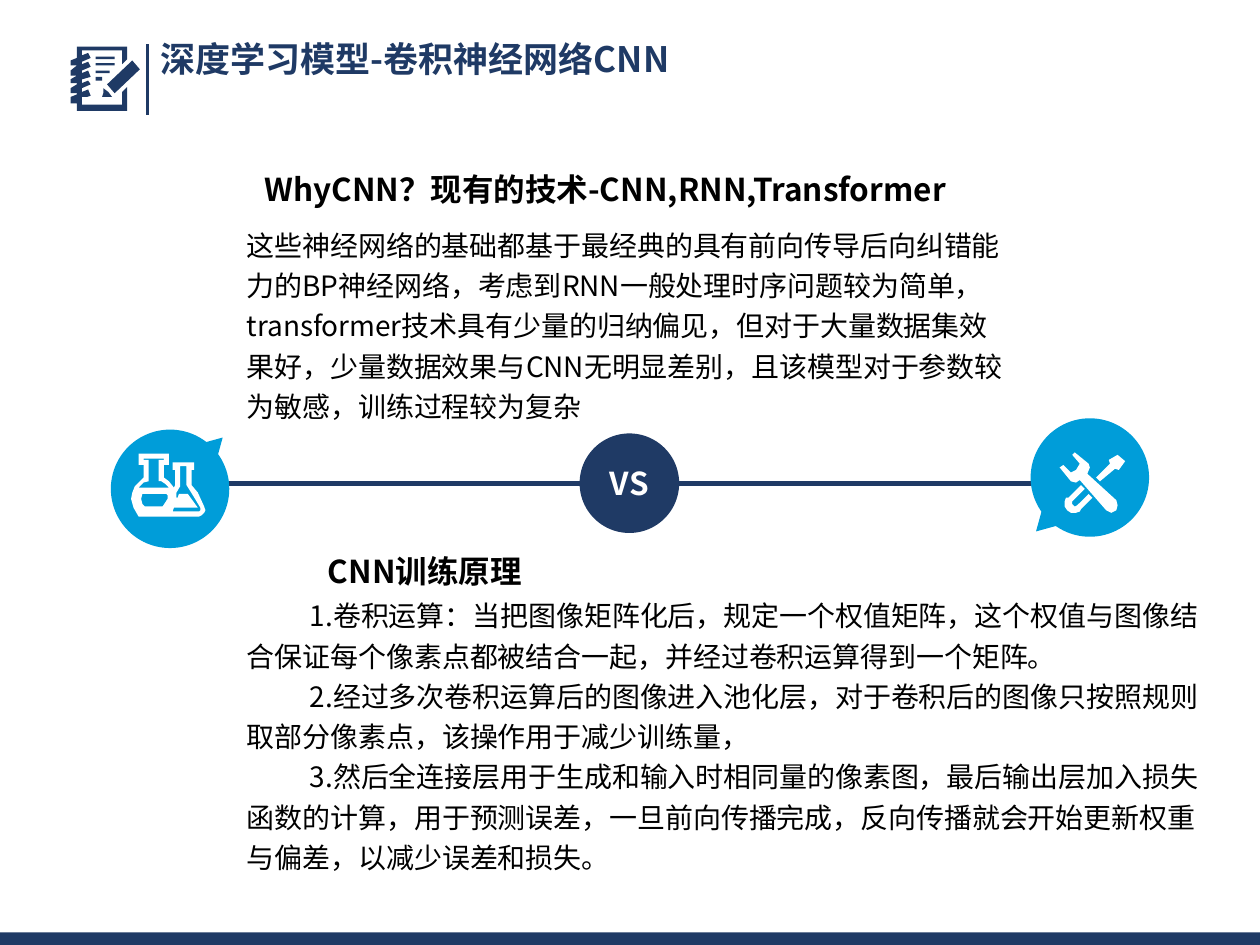
from pptx import Presentation
from pptx.dml.color import RGBColor as RGB
from pptx.enum.shapes import MSO_CONNECTOR as CONN, MSO_SHAPE as SHAPE
from pptx.enum.text import MSO_ANCHOR as ANCHOR, MSO_AUTO_SIZE as AUTO, PP_ALIGN as ALIGN
from pptx.oxml.ns import qn
from pptx.util import Inches, Pt
from lxml.etree import SubElement

COLORS = {"navy": "1F3A65", "blue": "009DD9", "white": "FFFFFF", "black": "000000"}
FONT = "Noto Sans CJK SC"

INTRO = ("这些神经网络的基础都基于最经典的具有前向传导后向纠错能力的BP神经网络，考虑到RNN一般处理时序问题较为简单，"
         "transformer技术具有少量的归纳偏见，但对于大量数据集效果好，少量数据效果与CNN无明显差别，"
         "且该模型对于参数较为敏感，训练过程较为复杂")
STEPS = [
    "1.卷积运算：当把图像矩阵化后，规定一个权值矩阵，这个权值与图像结合保证每个像素点都被结合一起，并经过卷积运算得到一个矩阵。",
    "2.经过多次卷积运算后的图像进入池化层，对于卷积后的图像只按照规则取部分像素点，该操作用于减少训练量，",
    "3.然后全连接层用于生成和输入时相同量的像素图，最后输出层加入损失函数的计算，用于预测误差，"
    "一旦前向传播完成，反向传播就会开始更新权重与偏差，以减少误差和损失。",
]

FLASKS = [
    [(130, 379), (134, 382), (138, 387), (139, 385), (139, 373), (137, 373), (137, 367),
     (154, 367), (154, 373), (152, 373), (152, 385), (157, 391), (162, 402), (163, 405),
     (162, 407), (160, 409), (158, 410), (110, 410), (106, 403), (104, 396), (105, 391),
     (107, 386), (114, 379), (114, 369), (110, 369), (110, 360), (134, 360), (134, 369),
     (130, 369)],
    [(149, 392), (157, 403), (138, 403), (137, 406), (158, 406), (159, 405), (159, 403),
     (153, 393), (148, 385), (148, 370), (143, 370), (143, 386), (140, 391), (140, 395),
     (141, 395), (142, 392)],
    [(129, 402), (133, 396), (133, 393), (132, 392), (113, 392), (112, 396), (113, 400),
     (115, 402)],
    [(110, 387), (134, 387), (131, 384), (128, 382), (126, 382), (126, 365), (130, 365),
     (130, 364), (114, 364), (114, 365), (118, 365), (118, 382), (114, 383)],
]
TOOLS = [
    [(864, 392), (855, 401), (853, 402), (851, 400), (851, 398), (861, 388), (858, 385),
     (848, 395), (846, 395), (845, 398), (845, 402), (847, 405), (850, 407), (854, 407),
     (857, 406), (858, 404), (867, 395)],
    [(863, 376), (886, 397), (887, 401), (886, 405), (882, 407), (878, 405), (857, 381),
     (854, 383), (850, 382), (841, 371), (844, 369), (850, 375), (854, 373),
     (857, 368), (851, 361), (853, 359), (864, 368), (865, 371)],
    [(887, 361), (880, 365), (881, 368), (870, 379), (873, 382), (885, 372), (888, 373),
     (893, 366)],
]
NOTEBOOK = [
    [(101, 37), (101, 47), (97, 51), (97, 40), (65, 40), (65, 44), (70, 42), (72, 46),
     (65, 49), (65, 51), (70, 49), (72, 53), (65, 56), (65, 58), (70, 56), (72, 61),
     (65, 63), (65, 66), (70, 64), (72, 67), (65, 70), (65, 73), (70, 71), (72, 76),
     (69, 77), (65, 77), (65, 83), (97, 83), (97, 73), (101, 69), (101, 88), (61, 88),
     (61, 82), (56, 82), (56, 77), (61, 75), (61, 74), (56, 74), (56, 70), (61, 67),
     (61, 66), (56, 66), (56, 63), (61, 60), (56, 60), (56, 56), (61, 52), (56, 52),
     (56, 48), (61, 46), (61, 37)],
    [(81, 77), (89, 77), (86, 73), (82, 70), (82, 74)],
    [(105, 48), (85, 67), (91, 74), (111, 55)],
] + [[(76, y), (76, y + h), (right, y + h), (right, y)]
     for right, y, h in [(81, 61, 3), (87, 56, 2), (91, 50, 2), (91, 45, 2)]]


class Deck:
    def __init__(self):
        self.prs = Presentation()
        self.prs.slide_width, self.prs.slide_height = Inches(10), Inches(7.5)
        self.s = self.prs.slides.add_slide(self.prs.slide_layouts[1])
        self.shapes = self.s.shapes

    def fill_text(self, sp, paras, size, color="black", bold=False, indent=None, anchor=ANCHOR.TOP, **fmt):
        tf = sp.text_frame
        for name, value in {"word_wrap": True, "auto_size": AUTO.NONE, "vertical_anchor": anchor}.items():
            setattr(tf, name, value)
        fmt = {"alignment": ALIGN.LEFT, "space_before": Pt(0), **fmt}
        for i, text in enumerate(paras):
            p = tf.add_paragraph() if i else tf.paragraphs[0]
            for name, value in fmt.items():
                setattr(p, name, value)
            if indent is not None:
                pPr = p._p.get_or_add_pPr()
                pPr.set("marL", "0")
                pPr.set("indent", str(Inches(indent)))
                SubElement(pPr, qn("a:buNone"))
            r = p.add_run()
            r.text = text
            for name, value in {"name": FONT, "size": Pt(size), "bold": bold}.items():
                setattr(r.font, name, value)
            r.font.color.rgb = RGB.from_string(COLORS[color])
            SubElement(r._r.get_or_add_rPr(), qn("a:ea")).set("typeface", FONT)

    def placeholder(self, idx, box, paras, size, **fmt):
        sp = self.s.placeholders[idx]
        for name, value in zip(("left", "top", "width", "height"), box):
            setattr(sp, name, Inches(value))
        self.fill_text(sp, paras, size, **fmt)

    def text(self, box, text, size, **fmt):
        self.fill_text(self.shapes.add_textbox(*map(Inches, box)), [text], size, **fmt)

    def paint(self, sp, color):
        sp.shadow.inherit = False
        sp.fill.solid()
        sp.fill.fore_color.rgb = RGB.from_string(COLORS[color])
        sp.line.fill.background()
        return sp

    def shape(self, kind, box, color, rotation=0):
        sp = self.paint(self.shapes.add_shape(kind, *map(Inches, box)), color)
        sp.rotation = rotation
        return sp

    def icon(self, outlines, color):
        fb = self.shapes.build_freeform(*outlines[0][0], scale=Inches(0.01))
        fb.add_line_segments(outlines[0][1:])
        for points in outlines[1:]:
            fb.move_to(*points[0])
            fb.add_line_segments(points[1:])
        self.paint(fb.convert_to_shape(), color)

    def line(self, ends, width):
        c = self.shapes.add_connector(CONN.STRAIGHT, *map(Inches, ends))
        c.line.color.rgb = RGB.from_string(COLORS["navy"])
        c.line.width = Pt(width)
        SubElement(c._element.spPr, qn("a:effectLst"))

    def badge(self, left, top, tip, rotation, outlines):
        self.shape(SHAPE.ISOSCELES_TRIANGLE, (*tip, 0.33, 0.29), "blue", rotation)
        self.shape(SHAPE.OVAL, (left, top, 0.94, 0.94), "blue")
        self.icon(outlines, "white")


def main():
    d = Deck()
    d.shape(SHAPE.RECTANGLE, (0, 7.4, 10, 0.1), "navy")

    d.placeholder(0, (1.17, 0.25, 5.44, 0.44), ["深度学习模型-卷积神经网络CNN"], 20, color="navy", bold=True)
    d.line((1.17, 0.35, 1.17, 0.91), 2)
    d.icon(NOTEBOOK, "navy")

    d.text((2, 1.3, 6.35, 0.4), "WhyCNN？现有的技术-CNN,RNN,Transformer", 18, bold=True)
    d.text((1.86, 1.71, 6.25, 1.71), INTRO, 16, line_spacing=1.2)
    d.text((2.02, 4.33, 2.22, 0.4), "CNN训练原理", 18, bold=True, alignment=ALIGN.RIGHT)
    d.placeholder(1, (1.86, 4.65, 7.79, 2.36), STEPS, 16, indent=0.5, line_spacing=1.2)

    d.line((1.33, 3.84, 8.67, 3.84), 3)
    d.badge(0.88, 3.41, (1.5, 3.43), 45, FLASKS)
    d.badge(8.18, 3.32, (8.16, 3.97), 225, TOOLS)
    vs = d.shape(SHAPE.OVAL, (4.6, 3.44, 0.79, 0.79), "navy")
    d.fill_text(vs, ["VS"], 18, color="white", bold=True, anchor=ANCHOR.MIDDLE, alignment=ALIGN.CENTER)

    d.prs.save("out.pptx")


if __name__ == "__main__":
    main()
